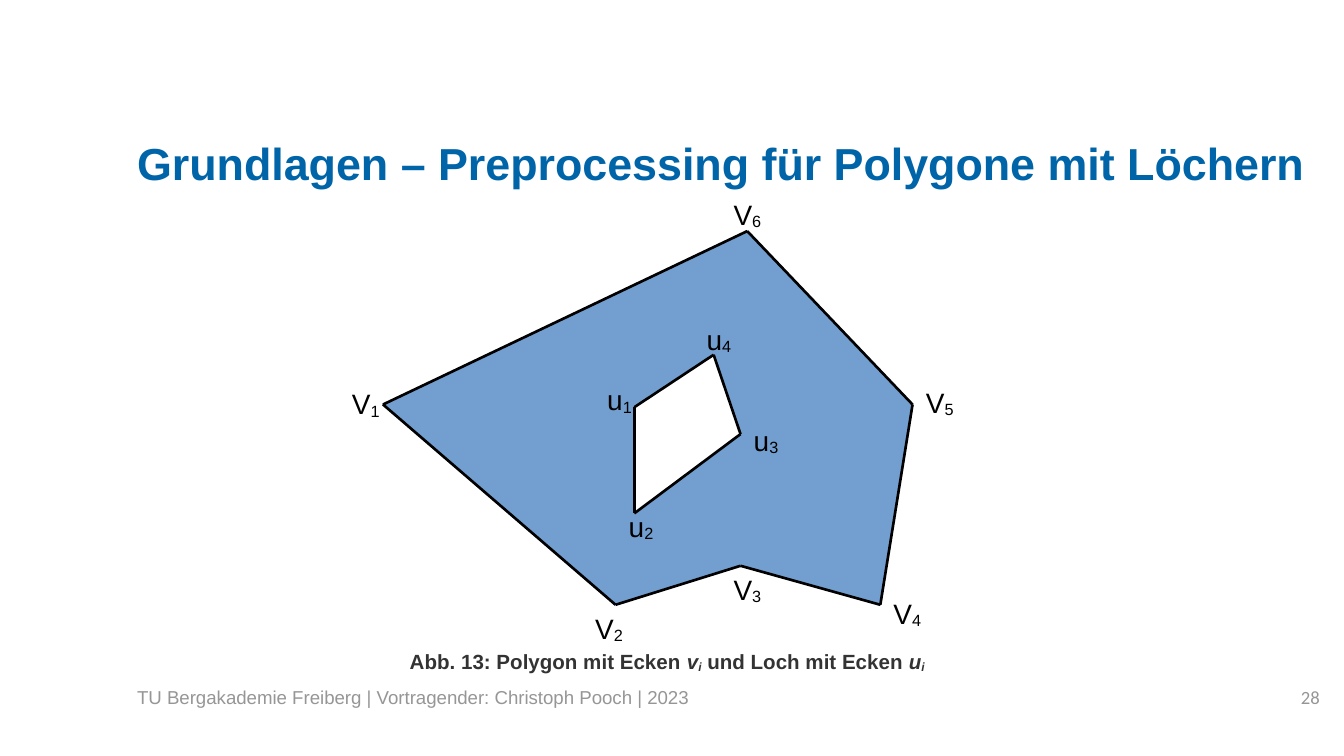
"""Build a slide that shows a polygon with a hole, split into three parts."""
import dataclasses
import typing

import lxml.etree
import pptx
import pptx.dml.color
import pptx.enum.shapes
import pptx.enum.text
import pptx.oxml.ns
import pptx.util

Inches = pptx.util.Inches
Align = pptx.enum.text.PP_ALIGN
Anchor = pptx.enum.text.MSO_ANCHOR
Fit = pptx.enum.text.MSO_AUTO_SIZE


@dataclasses.dataclass(frozen=True)
class Theme:
    font: str = "Arial"
    digit: str = "Calibri"
    blue: str = "0064A8"
    fill: str = "729FCF"
    ink: str = "000000"
    dark: str = "333333"
    gray: str = "969696"
    head: float = 24
    label: float = 15
    note: float = 11
    foot: float = 10
    edge: float = 1.42
    drop: int = -8000


class Piece(typing.NamedTuple):
    text: str
    sub: bool = False
    slant: bool = False


class Label(typing.NamedTuple):
    name: str
    left: float
    top: float
    width: float = 0.74


class Box(typing.NamedTuple):
    left: float
    top: float
    width: float
    height: float


THEME = Theme()
POINTS = {
    "V1": (2.85, 3.01), "V2": (4.58, 4.5), "V3": (5.51, 4.21),
    "V4": (6.55, 4.5), "V5": (6.79, 3.01), "V6": (5.56, 1.72),
    "u1": (4.72, 3.03), "u2": (4.72, 3.82), "u3": (5.51, 3.23), "u4": (5.31, 2.64),
}
PARTS = ("V1 u2 u1 u4 V6", "V6 u4 u3 V3 V4 V5", "V1 V2 V3 u3 u2")
RINGS = ("V1 V2 V3 V4 V5 V6", "u1 u2 u3 u4")
LABELS = (
    Label("V1", 2.52, 2.83), Label("V2", 4.33, 4.5), Label("V3", 5.36, 4.21),
    Label("V4", 6.55, 4.39), Label("V5", 6.79, 2.82, 0.95), Label("V6", 5.36, 1.42),
    Label("u1", 4.42, 2.8), Label("u2", 4.58, 3.74), Label("u3", 5.51, 3.1),
    Label("u4", 5.16, 2.35),
)
NOTE = (
    Piece("Abb. 13: Polygon mit Ecken "), Piece("v", slant=True),
    Piece("i", sub=True, slant=True), Piece(" und Loch mit Ecken "),
    Piece("u", slant=True), Piece("i", sub=True, slant=True),
)
FLUSH = {"margin_left": 0, "margin_right": 0, "margin_top": 0, "margin_bottom": 0,
         "word_wrap": True, "auto_size": Fit.NONE}
GROW = {"word_wrap": True, "auto_size": Fit.SHAPE_TO_FIT_TEXT}


def put(item: typing.Any, values: dict) -> None:
    """Set each named value on the item."""
    for key, value in values.items():
        setattr(item, key, value)


def tint(code: str) -> pptx.dml.color.RGBColor:
    """Turn a hex code into a colour."""
    return pptx.dml.color.RGBColor.from_string(code)


def write(shape, pieces: typing.Iterable[Piece], size: float, color: str, frame: dict,
          font: str = THEME.font, bold: bool = False, align: Align = Align.LEFT) -> None:
    """Write the pieces as one paragraph in the shape."""
    put(shape.text_frame, frame)
    line = shape.text_frame.paragraphs[0]
    line.alignment = align
    for piece in pieces:
        run = line.add_run()
        run.text = piece.text
        put(run.font, {"name": font, "size": pptx.util.Pt(size),
                       "bold": bold, "italic": piece.slant})
        run.font.color.rgb = tint(color)
        if piece.sub:
            run._r.get_or_add_rPr().set("baseline", str(THEME.drop))


def add_text(slide, box: Box, *args, **more) -> None:
    """Add a text box and write in it."""
    write(slide.shapes.add_textbox(*map(Inches, box)), *args, **more)


def add_title(slide, text: str) -> None:
    """Place and fill the title."""
    title = slide.shapes.title
    put(title, dict(zip(Box._fields, map(Inches, Box(1.02, 1, 8.82, 0.47)))))
    write(title, [Piece(text)], THEME.head, THEME.blue,
          {**FLUSH, "margin_top": Inches(0.01), "vertical_anchor": Anchor.TOP}, bold=True)


def add_part(slide, names: str) -> None:
    """Draw one filled part of the polygon."""
    first, *rest = [tuple(map(Inches, POINTS[name])) for name in names.split()]
    pen = slide.shapes.build_freeform(*first)
    pen.add_line_segments(rest, close=True)
    shape = pen.convert_to_shape()
    shape.shadow.inherit = False
    shape.fill.solid()
    shape.fill.fore_color.rgb = tint(THEME.fill)
    shape.line.color.rgb = tint(THEME.fill)
    shape.line.width = 0


def add_ring(slide, names: str) -> None:
    """Draw the edges of a closed ring of corners."""
    ring = names.split()
    for start, end in zip(ring, ring[1:] + ring[:1]):
        edge = slide.shapes.add_connector(
            pptx.enum.shapes.MSO_CONNECTOR.STRAIGHT,
            *map(Inches, POINTS[start] + POINTS[end]))
        edge.line.color.rgb = tint(THEME.ink)
        edge.line.width = pptx.util.Pt(THEME.edge)
        lxml.etree.SubElement(edge._element.spPr, pptx.oxml.ns.qn("a:effectLst"))


def add_label(slide, label: Label) -> None:
    """Name a corner with a letter and a low digit."""
    letter, digit = label.name
    add_text(slide, Box(label.left, label.top, label.width, 0.53),
             [Piece(letter), Piece(digit, sub=True)], THEME.label, THEME.ink, GROW)


def main() -> None:
    """Build and save the slide."""
    deck = pptx.Presentation()
    put(deck, {"slide_width": Inches(10), "slide_height": Inches(10 * 9 / 16)})
    slide = deck.slides.add_slide(deck.slide_layouts[5])
    add_title(slide, "Grundlagen – Preprocessing für Polygone mit Löchern")
    for names in PARTS:
        add_part(slide, names)
    for names in RINGS:
        add_ring(slide, names)
    for label in LABELS:
        add_label(slide, label)
    add_text(slide, Box(2.95, 4.78, 4.25, 0.56), NOTE, THEME.note, THEME.dark,
             GROW, bold=True)
    add_text(slide, Box(1.02, 5.1, 7.99, 0.39),
             [Piece("TU Bergakademie Freiberg | Vortragender: Christoph Pooch | 2023")],
             THEME.foot, THEME.gray, FLUSH)
    add_text(slide, Box(9.02, 5.1, 0.8, 0.4), [Piece("28")], THEME.foot, THEME.gray,
             FLUSH, font=THEME.digit, align=Align.RIGHT)
    deck.save("out.pptx")


if __name__ == "__main__":
    main()
